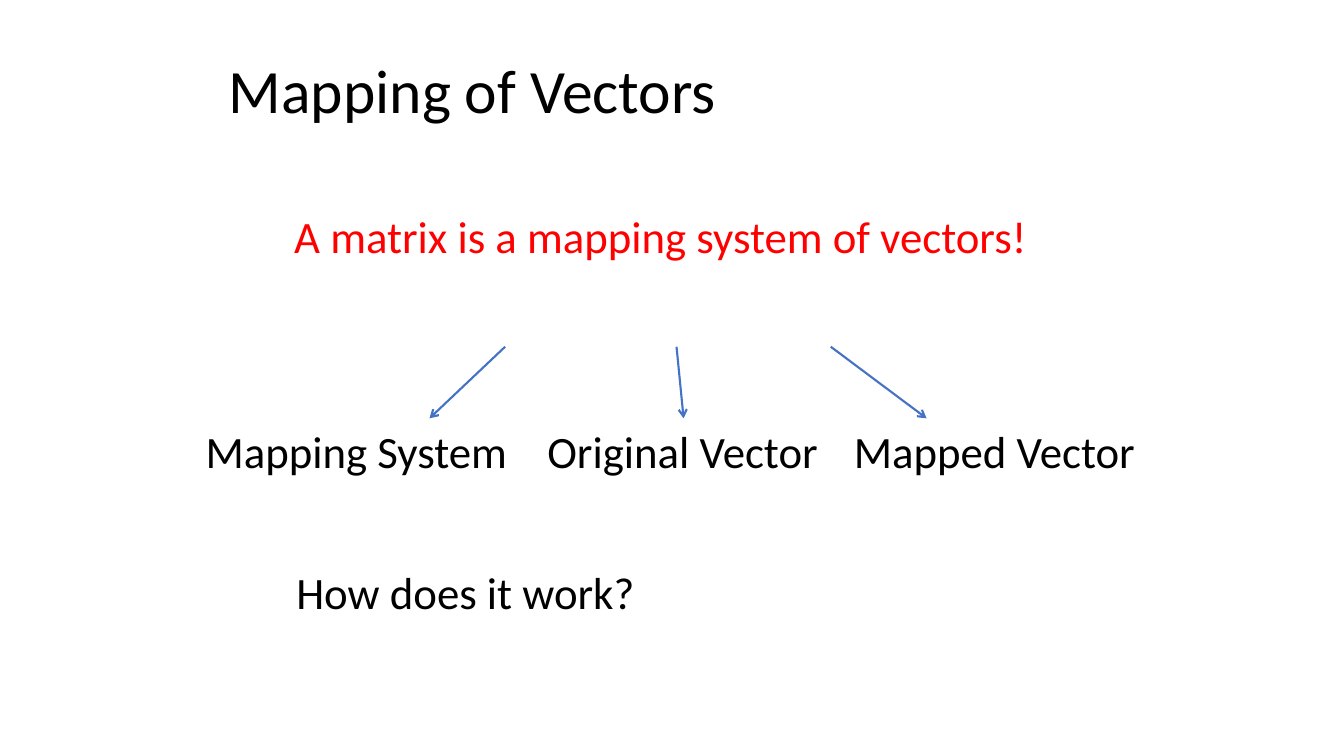
"""Build the slide that introduces a matrix as a mapping system of vectors."""
from dataclasses import dataclass

from lxml.etree import SubElement
from pptx import Presentation
from pptx.dml.color import RGBColor as RGB
from pptx.enum.shapes import MSO_CONNECTOR as Conn
from pptx.enum.text import MSO_ANCHOR as Anchor, MSO_AUTO_SIZE as AutoSize
from pptx.oxml.ns import qn
from pptx.slide import Slide
from pptx.util import Inches, Pt

COLORS = {"text": "000000", "accent": "FF0000", "arrow": "4472C4"}
LABEL_TOP, LABEL_HEIGHT, ARROW_TOP = 4.15, 0.64, 3.44
LABEL_FRAME = {"word_wrap": False, "auto_size": AutoSize.SHAPE_TO_FIT_TEXT}
TITLE_FRAME = {"word_wrap": True, "vertical_anchor": Anchor.MIDDLE}


@dataclass
class Label:
    text: str
    left: float
    top: float
    width: float
    color: str = "text"
    height: float = LABEL_HEIGHT
    size: int = 32
    line_spacing: float = 1.0


@dataclass
class Arrow:
    start_x: float
    end_x: float


TITLE = Label("Mapping of Vectors", 2.17, 0.3, 9, height=1.25, size=44, line_spacing=0.9)
LABELS = [
    Label("A matrix is a mapping system of vectors!", 2.82, 2.02, 7.54, "accent"),
    Label("Mapping System", 1.94, LABEL_TOP, 3.23),
    Label("Original Vector", 5.33, LABEL_TOP, 2.92),
    Label("Mapped Vector", 8.37, LABEL_TOP, 3.02),
    Label("How does it work?", 2.84, 5.55, 3.59),
]
ARROWS = [Arrow(5.01, 4.26), Arrow(6.71, 6.78), Arrow(8.24, 9.19)]


def add_label(s: Slide, label: Label, frame: dict) -> None:
    box = (label.left, label.top, label.width, label.height)
    tf = s.shapes.add_textbox(*map(Inches, box)).text_frame
    for name, value in frame.items():
        setattr(tf, name, value)
    p = tf.paragraphs[0]
    p.line_spacing = label.line_spacing
    r = p.add_run()
    r.text = label.text
    for name, value in {"name": "Calibri", "size": Pt(label.size)}.items():
        setattr(r.font, name, value)
    r.font.color.rgb = RGB.from_string(COLORS[label.color])


def add_arrow(s: Slide, arrow: Arrow) -> None:
    ends = (arrow.start_x, ARROW_TOP, arrow.end_x, LABEL_TOP)
    sp = s.shapes.add_connector(Conn.STRAIGHT, *map(Inches, ends))
    sp.line.width = Pt(1.5)
    sp.line.color.rgb = RGB.from_string(COLORS["arrow"])
    SubElement(sp.line._get_or_add_ln(), qn("a:tailEnd"), type="arrow")
    SubElement(sp._element.spPr, qn("a:effectLst"))


def main() -> None:
    prs = Presentation()
    prs.slide_width, prs.slide_height = Inches(13.33), Inches(7.5)
    s = prs.slides.add_slide(prs.slide_layouts[6])
    add_label(s, TITLE, TITLE_FRAME)
    for label in LABELS:
        add_label(s, label, LABEL_FRAME)
    for arrow in ARROWS:
        add_arrow(s, arrow)
    prs.save("out.pptx")


if __name__ == "__main__":
    main()
